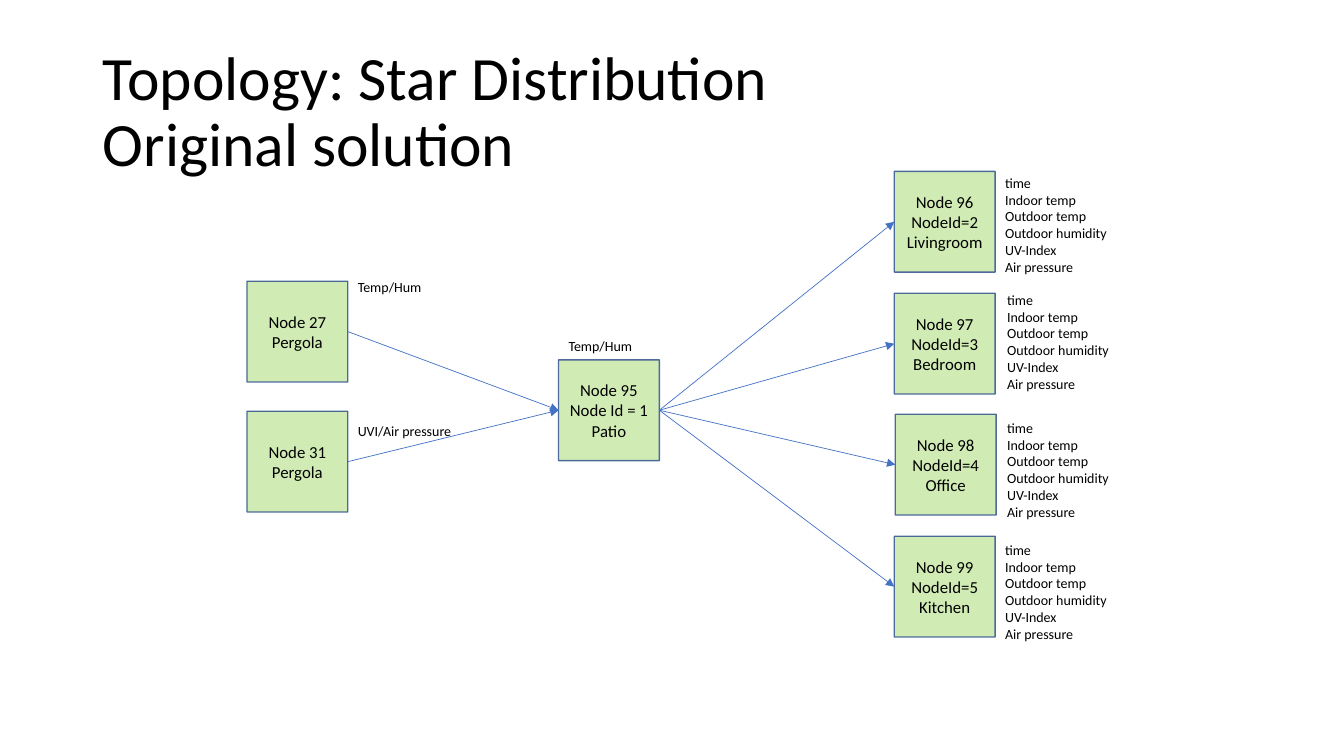
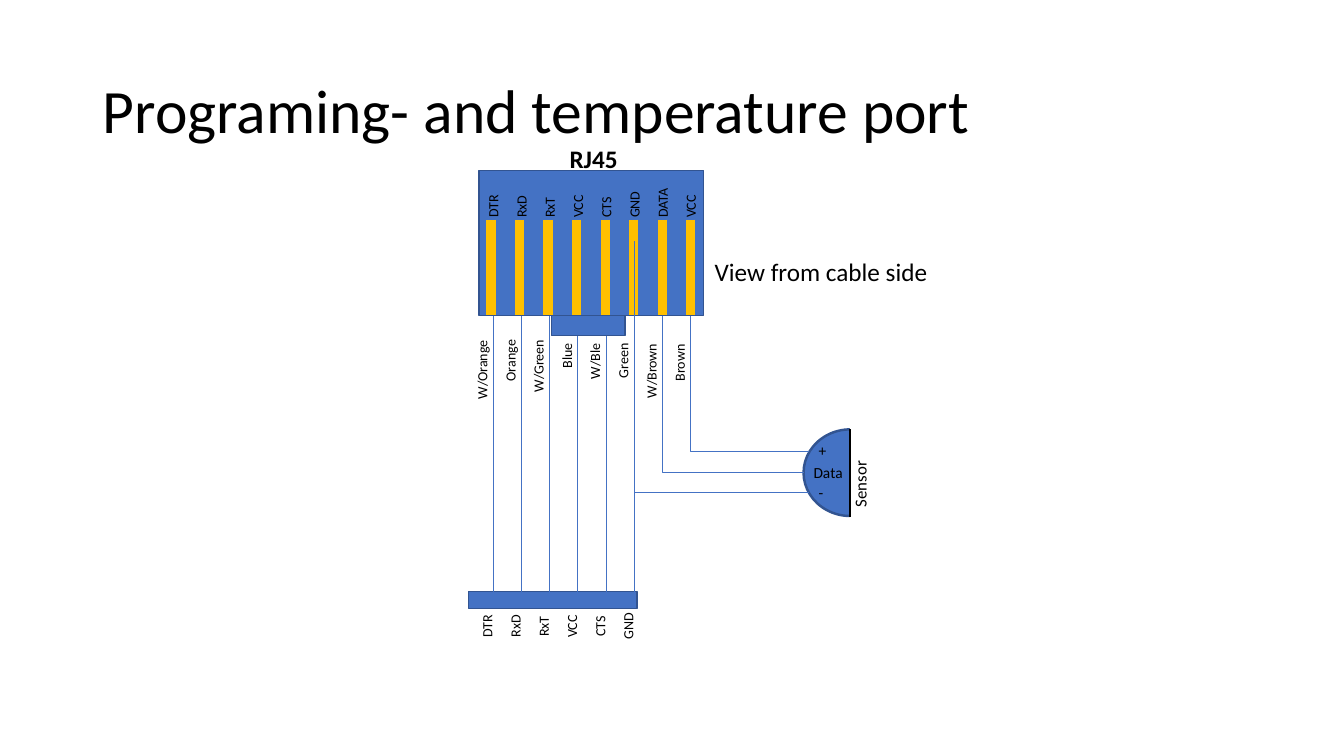
"""Build two slides: a sensor network and a port wiring plan."""
from lxml.etree import SubElement
from pptx import Presentation
from pptx.dml.color import RGBColor
from pptx.enum.shapes import MSO_CONNECTOR as Link, MSO_SHAPE as Form
from pptx.enum.text import MSO_ANCHOR as Anchor, MSO_AUTO_SIZE as Auto, PP_ALIGN as Align
from pptx.oxml.ns import qn
from pptx.util import Inches, Pt

BLACK = RGBColor(0x00, 0x00, 0x00)
WHITE = RGBColor(0xFF, 0xFF, 0xFF)
BLUE = RGBColor(0x44, 0x72, 0xC4)
NAVY = RGBColor(0x32, 0x54, 0x91)
GREEN = RGBColor(0x92, 0xD0, 0x50)
GOLD = RGBColor(0xFF, 0xC0, 0x00)
FONT = "Calibri"

STAR = ["Topology: Star Distribution", "Original solution"]
PORT = ["Programing- and temperature port"]

SIDE = 1
HUB = (5.54, 3.57, ["Node 95", "Node Id = 1", "Patio"])
SOURCES = [
    (2.45, 2.79, ["Node 27", "Pergola"]),
    (2.45, 4.08, ["Node 31", "Pergola"]),
]
ROOMS = [
    (8.87, 1.7, ["Node 96", "NodeId=2", "Livingroom"]),
    (8.87, 2.91, ["Node 97", "NodeId=3", "Bedroom"]),
    (8.88, 4.11, ["Node 98", "NodeId=4", "Office"]),
    (8.87, 5.32, ["Node 99", "NodeId=5", "Kitchen"]),
]
READINGS = ["time", "Indoor temp", "Outdoor temp", "Outdoor humidity",
            "UV-Index", "Air pressure"]
LISTS = [(9.87, 1.68), (9.89, 2.84), (9.89, 4.11), (9.87, 5.32)]
NOTES = [
    (5.54, 3.3, 0.85, "Temp/Hum"),
    (3.45, 2.71, 0.85, "Temp/Hum"),
    (3.45, 4.14, 1.15, "UVI/Air pressure"),
]

PINS = [("DTR", 0.43), ("RxD", 0.42), ("RxT", 0.41), ("VCC", 0.43),
        ("CTS", 0.41), ("GND", 0.47), ("DATA", 0.52), ("VCC", 0.43)]
CABLE = [("W/Orange", 0.8, 3.26), ("Orange", 0.62, 3.26),
         ("W/Green", 0.73, 3.26), ("Blue", 0.45, 3.3),
         ("W/Ble", 0.56, 3.3), ("Green", 0.55, 3.3),
         ("W/Brown", 0.75, 3.3), ("Brown", 0.58, 3.3)]
BENDS = [(7, 8.02, 4.48), (6, 7.97, 4.69), (5, 8.02, 4.88)]
MARKS = [(8.02, 4.33, 0.28, "+"), (7.97, 4.55, 0.49, "Data"),
         (8.02, 4.74, 0.25, "-")]
GND, SERIAL = 5, 6
WIRES = [4.89 + 0.28 * i for i in range(len(PINS))]
GAP = (6.85 - 4.87) / (len(PINS) - 1)
BAR = 5.87


def write(frame, lines, size, align=Align.LEFT, bold=False):
    """Fill a frame with one paragraph per line."""
    for i, line in enumerate(lines):
        para = frame.paragraphs[0] if i == 0 else frame.add_paragraph()
        para.alignment = align
        style(para.add_run(), line, size, bold)


def style(run, words, size, bold=False):
    """Set the words and the font of a run."""
    run.text = words
    run.font.name = FONT
    run.font.size = Pt(size)
    run.font.bold = bold
    run.font.color.rgb = BLACK


def start(deck, lines):
    """Add a slide with its title."""
    slide = deck.slides.add_slide(deck.slide_layouts[5])
    title = slide.shapes.title
    title.left, title.top = Inches(0.92), Inches(0.4)
    title.width, title.height = Inches(11.5), Inches(1.45)
    frame = title.text_frame
    frame.auto_size = Auto.NONE
    frame.vertical_anchor = Anchor.MIDDLE
    para = frame.paragraphs[0]
    para.alignment = Align.LEFT
    para.line_spacing = 0.9
    for i, line in enumerate(lines):
        if i:
            para.add_line_break()
        style(para.add_run(), line, 44)
    return slide.shapes


def label(shapes, x, y, wide, lines, size=10, high=0.27, turn=0, bold=False):
    """Add free text that keeps to its own lines."""
    box = shapes.add_textbox(Inches(x), Inches(y), Inches(wide), Inches(high))
    box.rotation = turn
    frame = box.text_frame
    frame.word_wrap = False
    frame.auto_size = Auto.SHAPE_TO_FIT_TEXT
    write(frame, lines, size, bold=bold)


def upright(shapes, x, y, wide, words, size=10, high=0.27):
    """Add a label that reads upward, centred on a point."""
    label(shapes, x - wide / 2, y - high / 2, wide, [words], size, high, 270)


def block(shapes, form, x, y, wide, high, fill=BLUE, edge=NAVY, width=1):
    """Add a filled shape."""
    shape = shapes.add_shape(form, Inches(x), Inches(y), Inches(wide), Inches(high))
    shape.shadow.inherit = False
    shape.fill.solid()
    shape.fill.fore_color.rgb = fill
    if edge is None:
        shape.line.fill.background()
    else:
        shape.line.color.rgb = edge
        shape.line.width = Pt(width)
    return shape


def fade(shape, tag, share):
    """Make the colour of a fill or a line partly clear."""
    part = shape.element.spPr
    if tag == "line":
        part = part.find(qn("a:ln"))
    color = part.find(qn("a:solidFill"))[0]
    SubElement(color, qn("a:alpha")).set("val", str(share * 1000))


def line(shapes, x1, y1, x2, y2, color=BLUE, width=0.5, arrow=False):
    """Add a straight line, with an arrowhead on request."""
    link = shapes.add_connector(Link.STRAIGHT, Inches(x1), Inches(y1),
                                Inches(x2), Inches(y2))
    link.line.color.rgb = color
    link.line.width = Pt(width)
    if arrow:
        edge = link.element.spPr.find(qn("a:ln"))
        SubElement(edge, qn("a:tailEnd")).set("type", "triangle")
    SubElement(link.element.spPr, qn("a:effectLst"))


def bend(shapes, x1, y1, x2, y2):
    """Add a wire that runs down and then right."""
    pen = shapes.build_freeform(Inches(x1), Inches(y1))
    pen.add_line_segments([(Inches(x1), Inches(y2)), (Inches(x2), Inches(y2))], close=False)
    wire = pen.convert_to_shape()
    wire.shadow.inherit = False
    wire.fill.background()
    wire.line.color.rgb = BLUE
    wire.line.width = Pt(0.5)


def node(shapes, x, y, lines):
    """Add one node of the network."""
    box = block(shapes, Form.RECTANGLE, x, y, SIDE, SIDE, GREEN)
    fade(box, "fill", 42)
    fade(box, "line", 86)
    box.text_frame.vertical_anchor = Anchor.MIDDLE
    write(box.text_frame, lines, 12, Align.CENTER)


def star(deck):
    """Draw the network."""
    shapes = start(deck, STAR)
    for x, y, lines in SOURCES + [HUB] + ROOMS:
        node(shapes, x, y, lines)
    left, mid = HUB[0], HUB[1] + SIDE / 2
    for x, y, _ in SOURCES:
        line(shapes, x + SIDE, y + SIDE / 2, left, mid, arrow=True)
    for x, y, _ in ROOMS:
        line(shapes, left + SIDE, mid, x, y + SIDE / 2, arrow=True)
    for x, y, wide, words in NOTES:
        label(shapes, x, y, wide, [words])
    for x, y in LISTS:
        label(shapes, x, y, 1.22, READINGS, high=1.11)


def sensor(shapes):
    """Draw the half-round sensor and its marks."""
    block(shapes, Form.OVAL, 7.97, 4.26, 0.93, 0.86, width=1.75)
    block(shapes, Form.RECTANGLE, 8.43, 4.19, 0.49, 1.13, WHITE, None)
    line(shapes, 8.43, 4.26, 8.43, 5.13, BLACK, 1.25)
    upright(shapes, 8.53, 4.72, 0.82, "Sensor", 12, 0.3)
    for x, y, wide, words in MARKS:
        label(shapes, x, y, wide, [words], 11, 0.29)


def socket(shapes):
    """Draw the socket with its pins."""
    block(shapes, Form.RECTANGLE, 4.75, 1.69, 2.23, 1.44)
    for i, (name, wide) in enumerate(PINS):
        x = 4.87 + GAP * i
        line(shapes, x, 2.18, x, 3.13, GOLD, 6.5)
        upright(shapes, WIRES[i], 2.26 - wide / 2, wide, name)
    block(shapes, Form.RECTANGLE, 5.47, 3.13, 0.73, 0.2)
    label(shapes, 6.99, 2.49, 2.34, ["View from cable side"], 18, 0.4)


def port(deck):
    """Draw the port wiring."""
    shapes = start(deck, PORT)
    label(shapes, 5.55, 1.37, 0.68, ["RJ45"], 18, 0.4, bold=True)
    sensor(shapes)
    for pin, x, y in BENDS:
        bend(shapes, WIRES[pin], 2.26, x, y)
    block(shapes, Form.RECTANGLE, 4.65, BAR, 1.67, 0.17)
    for x in WIRES[:GND]:
        line(shapes, x, 2.26, x, BAR)
    for x, (name, wide) in zip(WIRES, PINS[:SERIAL]):
        upright(shapes, x - 0.06, 6.21, wide, name)
    socket(shapes)
    for x, (name, wide, top) in zip(WIRES, CABLE):
        upright(shapes, x - 0.11, top + wide / 2, wide, name)
    line(shapes, WIRES[GND], 2.39, WIRES[GND], BAR)


deck = Presentation()
deck.slide_width, deck.slide_height = Inches(13.33), Inches(7.5)
star(deck)
port(deck)
deck.save("out.pptx")
